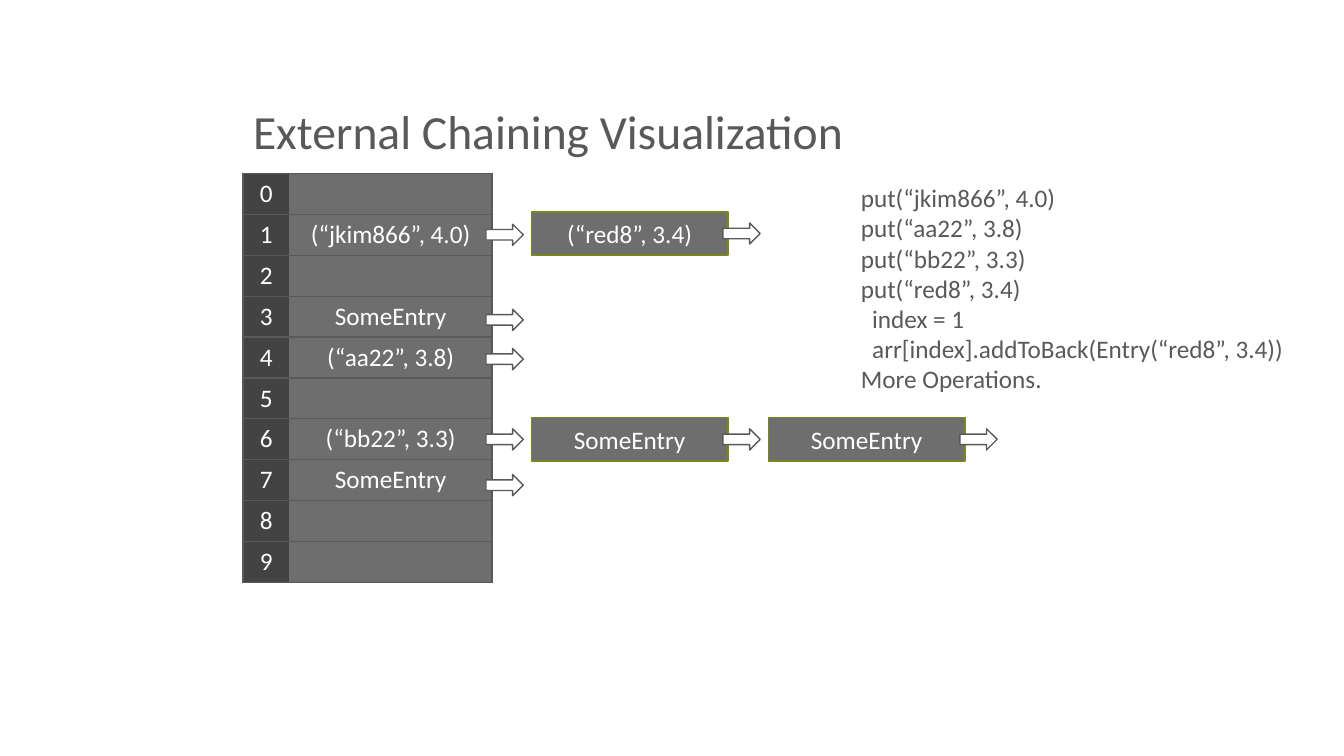
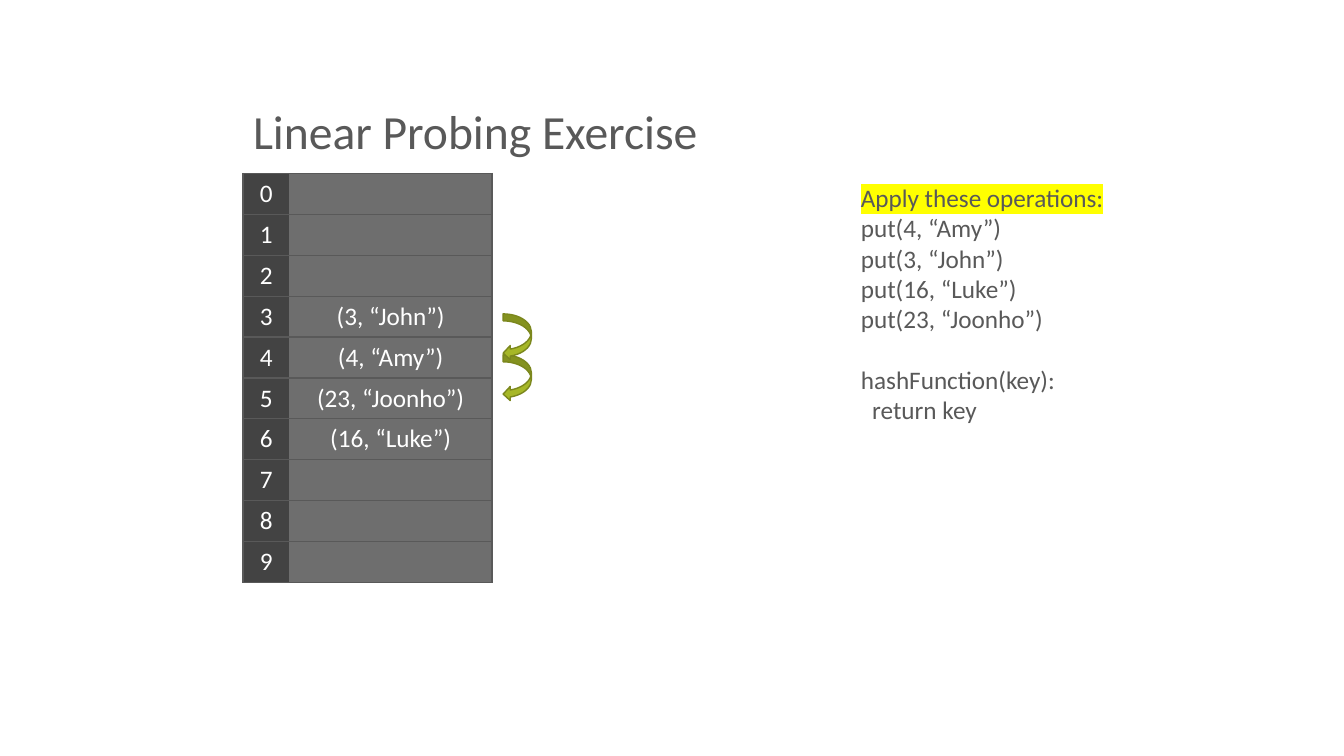
from lxml import etree
from pptx import Presentation
from pptx.dml.color import RGBColor
from pptx.enum.shapes import MSO_SHAPE
from pptx.enum.text import MSO_ANCHOR, MSO_AUTO_SIZE, PP_ALIGN
from pptx.oxml.ns import qn
from pptx.util import Inches, Pt

RECTANGLE = MSO_SHAPE.RECTANGLE
RIGHT_ARROW = MSO_SHAPE.RIGHT_ARROW
CURVED_ARROW = MSO_SHAPE.CURVED_DOWN_ARROW
LEFT, CENTER = PP_ALIGN.LEFT, PP_ALIGN.CENTER
MIDDLE, BOTTOM = MSO_ANCHOR.MIDDLE, MSO_ANCHOR.BOTTOM
NO_AUTOFIT = MSO_AUTO_SIZE.NONE

INK, WHITE, YELLOW = "595959", "FFFFFF", "FFFF00"
INDEX_FILL, ENTRY_FILL = "434343", "6E6E6E"
OLIVE, LIME = "7B871D", "A6B727"
FONT = "Calibri"
TITLE_SIZE, TEXT_SIZE = 34, 18
LINE_HEIGHT = 22

TABLE_LEFT, TABLE_TOP = 2.41, 1.72
INDEX_WIDTH, ENTRY_WIDTH = 0.46, 2.01
ROW_COUNT, TABLE_HEIGHT = 10, 4.06
ROW_HEIGHT = TABLE_HEIGHT / ROW_COUNT
LINK_LEFT, NODE_LEFT, CHAIN_PITCH = 4.82, 5.27, 2.35


def color(value):
    return RGBColor.from_string(value)


class HashTableDeck:
    """Draws hash table slides in one shared style."""

    def __init__(self):
        self.presentation = Presentation()
        self.presentation.slide_width = Inches(13.33)
        self.presentation.slide_height = Inches(7.5)
        self.slide = None

    def style(self, paragraph, size=TEXT_SIZE, ink=INK, align=LEFT):
        paragraph.alignment = align
        for run in paragraph.runs:
            run.font.name = FONT
            run.font.size = Pt(size)
            run.font.color.rgb = color(ink)

    def row_center(self, row):
        return TABLE_TOP + (row + 0.5) * ROW_HEIGHT

    def add_slide(self, title):
        layout = self.presentation.slide_layouts[5]
        self.slide = self.presentation.slides.add_slide(layout)
        shape = self.slide.shapes.title
        shape.left, shape.top = Inches(TABLE_LEFT), Inches(0.33)
        shape.width, shape.height = Inches(10.25), Inches(1.31)
        frame = shape.text_frame
        frame.text = title
        frame.auto_size = NO_AUTOFIT
        frame.vertical_anchor = BOTTOM
        frame.paragraphs[0].line_spacing = 0.9
        self.style(frame.paragraphs[0], TITLE_SIZE)

    def add_borders(self, cell, visible_sides):
        properties = cell._tc.get_or_add_tcPr()
        for side in "LRTB":
            line = etree.SubElement(properties, qn(f"a:ln{side}"), w=str(Pt(1)))
            if side in visible_sides:
                fill = etree.SubElement(line, qn("a:solidFill"))
                etree.SubElement(fill, qn("a:srgbClr"), val=INK)
            else:
                etree.SubElement(line, qn("a:noFill"))

    def add_hash_table(self, entries):
        frame = self.slide.shapes.add_table(
            ROW_COUNT, 2, Inches(TABLE_LEFT), Inches(TABLE_TOP),
            Inches(INDEX_WIDTH + ENTRY_WIDTH), Inches(TABLE_HEIGHT))
        table = frame.table
        table.first_row = table.horz_banding = False
        table.columns[0].width = Inches(INDEX_WIDTH)
        table.columns[1].width = Inches(ENTRY_WIDTH)
        columns = ((INDEX_FILL, "LTB"), (ENTRY_FILL, "RTB"))
        for row in range(ROW_COUNT):
            texts = (str(row), entries.get(row, ""))
            for column, (fill, sides) in enumerate(columns):
                cell = table.cell(row, column)
                self.add_borders(cell, sides)
                cell.fill.solid()
                cell.fill.fore_color.rgb = color(fill)
                cell.text_frame.text = texts[column]
                self.style(cell.text_frame.paragraphs[0], ink=WHITE, align=CENTER)

    def add_operations(self, lines, highlighted=(), spaced=()):
        height = (len(lines) + len(spaced)) * LINE_HEIGHT / 72 + 0.1
        box = self.slide.shapes.add_textbox(
            Inches(8.44), Inches(1.76), Inches(4.8), Inches(height))
        frame = box.text_frame
        frame.word_wrap = True
        frame.text = "\n".join(lines)
        for number, paragraph in enumerate(frame.paragraphs):
            self.style(paragraph)
            if number in spaced:
                paragraph.space_before = Pt(LINE_HEIGHT)
            if number in highlighted:
                self.highlight(paragraph.runs[0])

    def highlight(self, run):
        marker = etree.Element(qn("a:highlight"))
        etree.SubElement(marker, qn("a:srgbClr"), val=YELLOW)
        run._r.rPr.find(qn("a:solidFill")).addnext(marker)

    def add_shape(self, kind, left, row, width, height, fill, line):
        top = self.row_center(row) - height / 2
        shape = self.slide.shapes.add_shape(
            kind, Inches(left), Inches(top), Inches(width), Inches(height))
        shape.shadow.inherit = False
        shape.fill.solid()
        shape.fill.fore_color.rgb = color(fill)
        shape.line.color.rgb = color(line)
        shape.line.width = Pt(1)
        return shape

    def add_link(self, position, row):
        left = LINK_LEFT + position * CHAIN_PITCH
        self.add_shape(RIGHT_ARROW, left, row, 0.37, 0.21, WHITE, INK)

    def add_node(self, position, row, text):
        left = NODE_LEFT + position * CHAIN_PITCH
        node = self.add_shape(RECTANGLE, left, row, 1.95, 0.43, ENTRY_FILL, OLIVE)
        node.text_frame.text = text
        node.text_frame.vertical_anchor = MIDDLE
        self.style(node.text_frame.paragraphs[0], ink=WHITE, align=CENTER)

    def add_probe(self, row):
        arrow = self.add_shape(CURVED_ARROW, 4.9, row + 0.5, 0.46, 0.28, LIME, OLIVE)
        arrow.rotation = 90


def main():
    deck = HashTableDeck()

    deck.add_slide("External Chaining Visualization")
    deck.add_hash_table({
        1: "(“jkim866”, 4.0)",
        3: "SomeEntry",
        4: "(“aa22”, 3.8)",
        6: "(“bb22”, 3.3)",
        7: "SomeEntry",
    })
    deck.add_operations([
        "put(“jkim866”, 4.0)",
        "put(“aa22”, 3.8)",
        "put(“bb22”, 3.3)",
        "put(“red8”, 3.4)",
        "  index = 1",
        "  arr[index].addToBack(Entry(“red8”, 3.4))",
        "More Operations.",
    ])
    for position, row, text in (
            (0, 0.97, "(“red8”, 3.4)"), (0, 6, "SomeEntry"), (1, 6, "SomeEntry")):
        deck.add_node(position, row, text)
    for position, rows in enumerate(((1, 3.08, 4.04, 6, 7.12), (0.97, 6), (6,))):
        for row in rows:
            deck.add_link(position, row)

    deck.add_slide("Linear Probing Exercise")
    deck.add_hash_table({
        3: "(3, “John”)",
        4: "(4, “Amy”)",
        5: "(23, “Joonho”)",
        6: "(16, “Luke”)",
    })
    deck.add_operations([
        "Apply these operations:",
        "put(4, “Amy”)",
        "put(3, “John”)",
        "put(16, “Luke”)",
        "put(23, “Joonho”)",
        "hashFunction(key):",
        "  return key",
    ], highlighted=(0,), spaced=(5,))
    for row in (4, 3):
        deck.add_probe(row)

    deck.presentation.save("out.pptx")


if __name__ == "__main__":
    main()
